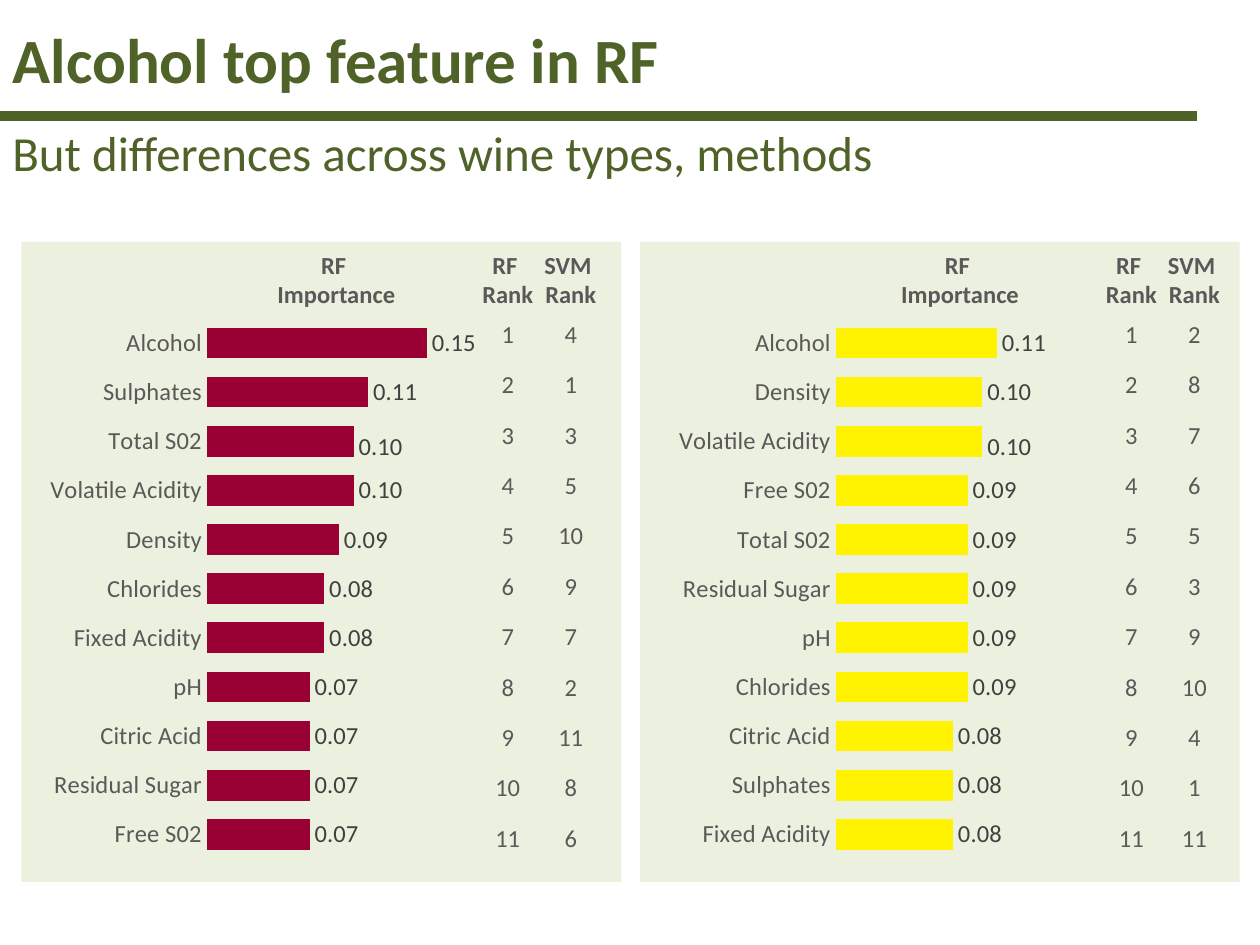
from dataclasses import dataclass

from lxml import etree
from pptx import Presentation
from pptx import util as u
from pptx.chart.data import CategoryChartData
from pptx.dml.color import RGBColor
from pptx.enum import chart as charts, shapes, text
from pptx.oxml import parse_xml
from pptx.oxml.ns import nsdecls, qn

NO_GRID_STYLE = "{2D5ABB26-0587-4C30-8999-92F81FD0307C}"
HEADERS = [("RF ", "Importance"), ("RF ", "Rank"), ("SVM ", "Rank")]
LOWERED_LABEL = 2


@dataclass(frozen=True)
class Theme:
    font: str = "Calibri"
    green: str = "4F6228"
    panel: str = "EBF1DE"
    muted: str = "595959"
    label: str = "404040"
    red_wine: str = "990033"
    white_wine: str = "FFF301"
    title_size: int = 36
    subtitle_size: int = 28
    body_size: int = 14


THEME = Theme()

# Feature, random forest importance, SVM rank; rows are in RF rank order.
RED_WINE = [
    ("Alcohol", 0.15, 4), ("Sulphates", 0.11, 1), ("Total S02", 0.10, 3),
    ("Volatile Acidity", 0.10, 5), ("Density", 0.09, 10), ("Chlorides", 0.08, 9),
    ("Fixed Acidity", 0.08, 7), ("pH", 0.07, 2), ("Citric Acid", 0.07, 11),
    ("Residual Sugar", 0.07, 8), ("Free S02", 0.07, 6),
]
WHITE_WINE = [
    ("Alcohol", 0.11, 2), ("Density", 0.10, 8), ("Volatile Acidity", 0.10, 7),
    ("Free S02", 0.09, 6), ("Total S02", 0.09, 5), ("Residual Sugar", 0.09, 3),
    ("pH", 0.09, 9), ("Chlorides", 0.09, 10), ("Citric Acid", 0.08, 4),
    ("Sulphates", 0.08, 1), ("Fixed Acidity", 0.08, 11),
]


def manual_layout(**values):
    """Return a c:layout element; keyword order must follow the schema."""
    children = "".join(f'<c:{name} val="{value}"/>' for name, value in values.items())
    return parse_xml(
        f'<c:layout {nsdecls("c")}><c:manualLayout>{children}</c:manualLayout></c:layout>')


class SlideBuilder:
    def __init__(self, slide, theme):
        self.slide = slide
        self.theme = theme

    def style_font(self, font, size, color, bold=False):
        font.name = self.theme.font
        font.size = u.Pt(size)
        font.bold = bold
        font.color.rgb = RGBColor.from_string(color)

    def add_run(self, paragraph, wording, size, color, bold=False):
        run = paragraph.add_run()
        run.text = wording
        self.style_font(run.font, size, color, bold)

    def title(self, wording, left, top, width, height):
        shape = self.slide.shapes.title
        shape.left, shape.top = u.Inches(left), u.Inches(top)
        shape.width, shape.height = u.Inches(width), u.Inches(height)
        shape.text_frame.vertical_anchor = text.MSO_ANCHOR.MIDDLE
        paragraph = shape.text_frame.paragraphs[0]
        paragraph.alignment = text.PP_ALIGN.LEFT
        self.add_run(paragraph, wording, self.theme.title_size, self.theme.green, True)

    def subtitle(self, wording, left, top, width, height):
        shape = self.slide.shapes.add_textbox(*map(u.Inches, (left, top, width, height)))
        shape.text_frame.word_wrap = True
        self.add_run(shape.text_frame.paragraphs[0], wording,
                     self.theme.subtitle_size, self.theme.green)

    def rule(self, left, top, right):
        line = self.slide.shapes.add_connector(
            shapes.MSO_CONNECTOR.STRAIGHT, *map(u.Inches, (left, top, right, top)))
        line.line.color.rgb = RGBColor.from_string(self.theme.green)
        line.line.width = u.Pt(6)
        etree.SubElement(line.element.spPr, qn("a:effectLst"))

    def panel(self, left, top, width, height):
        shape = self.slide.shapes.add_shape(
            shapes.MSO_SHAPE.RECTANGLE, *map(u.Inches, (left, top, width, height)))
        shape.shadow.inherit = False
        shape.fill.solid()
        shape.fill.fore_color.rgb = RGBColor.from_string(self.theme.panel)
        shape.line.fill.background()

    def importance_chart(self, rows, color, left, top, width, height):
        theme = self.theme
        data = CategoryChartData(number_format="0.00")
        data.categories = [feature for feature, _, _ in rows]
        data.add_series("Series 1", [importance for _, importance, _ in rows])
        chart = self.slide.shapes.add_chart(
            charts.XL_CHART_TYPE.BAR_CLUSTERED,
            *map(u.Inches, (left, top, width, height)), data).chart
        chart.has_legend = False
        chart.has_title = False
        self.style_font(chart.font, theme.body_size, theme.muted)

        category_axis = chart.category_axis
        category_axis.reverse_order = True
        category_axis.major_tick_mark = charts.XL_TICK_MARK.NONE
        category_axis.format.line.fill.background()
        self.style_font(category_axis.tick_labels.font, theme.body_size, theme.muted)
        value_axis = chart.value_axis
        value_axis.minimum_scale, value_axis.maximum_scale = 0, 0.2
        value_axis.has_major_gridlines = False
        value_axis.visible = False

        plot = chart.plots[0]
        plot.gap_width = 60
        plot.vary_by_categories = False
        series = plot.series[0]
        series.format.fill.solid()
        series.format.fill.fore_color.rgb = RGBColor.from_string(color)
        labels = series.data_labels
        labels.show_value = True
        labels.number_format = "0.00"
        labels.number_format_is_linked = False
        labels.position = charts.XL_LABEL_POSITION.OUTSIDE_END
        self.style_font(labels.font, theme.body_size, theme.label)
        self.lower_label(series)

        plot_area = chart.element.find(".//" + qn("c:plotArea"))
        for layout in plot_area.findall(qn("c:layout")):
            plot_area.remove(layout)
        plot_area.insert(0, manual_layout(
            layoutTarget="inner", xMode="edge", yMode="edge",
            x=0.386, y=0.043, w=0.614, h=0.937))

    def lower_label(self, series):
        label = series.points[LOWERED_LABEL].data_label
        label.position = charts.XL_LABEL_POSITION.OUTSIDE_END
        self.style_font(label.font, self.theme.body_size, self.theme.label)
        index = series.data_labels.element.find(qn("c:dLbl")).find(qn("c:idx")) \
            if hasattr(series.data_labels, "element") \
            else series.data_labels._element.find(qn("c:dLbl")).find(qn("c:idx"))
        layout = manual_layout(x=0, y=0.01)
        index.addnext(layout)
        layout.addnext(parse_xml(
            f'<c:numFmt {nsdecls("c")} formatCode="0.00" sourceLinked="0"/>'))

    def rank_table(self, rows, left, top, column_widths, row_height):
        frame = self.slide.shapes.add_table(
            len(rows) + 1, len(column_widths), u.Inches(left), u.Inches(top),
            u.Inches(sum(column_widths)), u.Inches(row_height * (len(rows) + 1)))
        table = frame.table
        frame.element.find(".//" + qn("a:tableStyleId")).text = NO_GRID_STYLE
        table.first_row = table.horz_banding = False
        for column, width in zip(table.columns, column_widths):
            column.width = u.Inches(width)
        for row in table.rows:
            row.height = u.Inches(row_height)
        for column, lines in enumerate(HEADERS):
            self.fill_cell(table.cell(0, column), lines, bold=True)
        for rank, (_, _, svm_rank) in enumerate(rows, start=1):
            for column, lines in enumerate([(), (str(rank),), (str(svm_rank),)]):
                self.fill_cell(table.cell(rank, column), lines)

    def fill_cell(self, cell, lines, bold=False):
        cell.fill.background()
        cell.margin_left = cell.margin_right = cell.margin_top = cell.margin_bottom = 0
        cell.vertical_anchor = text.MSO_ANCHOR.MIDDLE
        paragraph = cell.text_frame.paragraphs[0]
        paragraph.alignment = text.PP_ALIGN.CENTER
        for number, line in enumerate(lines):
            if number:
                paragraph.add_line_break()
            self.add_run(paragraph, line, self.theme.body_size, self.theme.muted, bold)


def main():
    presentation = Presentation()
    presentation.slide_width, presentation.slide_height = u.Inches(10), u.Inches(7.5)
    slide = presentation.slides.add_slide(presentation.slide_layouts[5])
    builder = SlideBuilder(slide, THEME)
    builder.title("Alcohol top feature in RF", 0, 0.01, 9.5, 0.91)
    builder.rule(0, 0.92, 9.5)
    builder.subtitle("But differences across wine types, methods", 0, 0.92, 9.5, 0.57)
    for rows, color, panel_left, chart_left, table_left in (
            (RED_WINE, THEME.red_wine, 0.17, 0.18, 1.56),
            (WHITE_WINE, THEME.white_wine, 5.08, 5.17, 6.51)):
        builder.panel(panel_left, 1.92, 4.76, 5.08)
        builder.importance_chart(rows, color, chart_left, 2.33, 3.79, 4.58)
        builder.rank_table(rows, table_left, 1.99, (2.22, 0.5, 0.5), 0.4)
    presentation.save("out.pptx")


if __name__ == "__main__":
    main()
